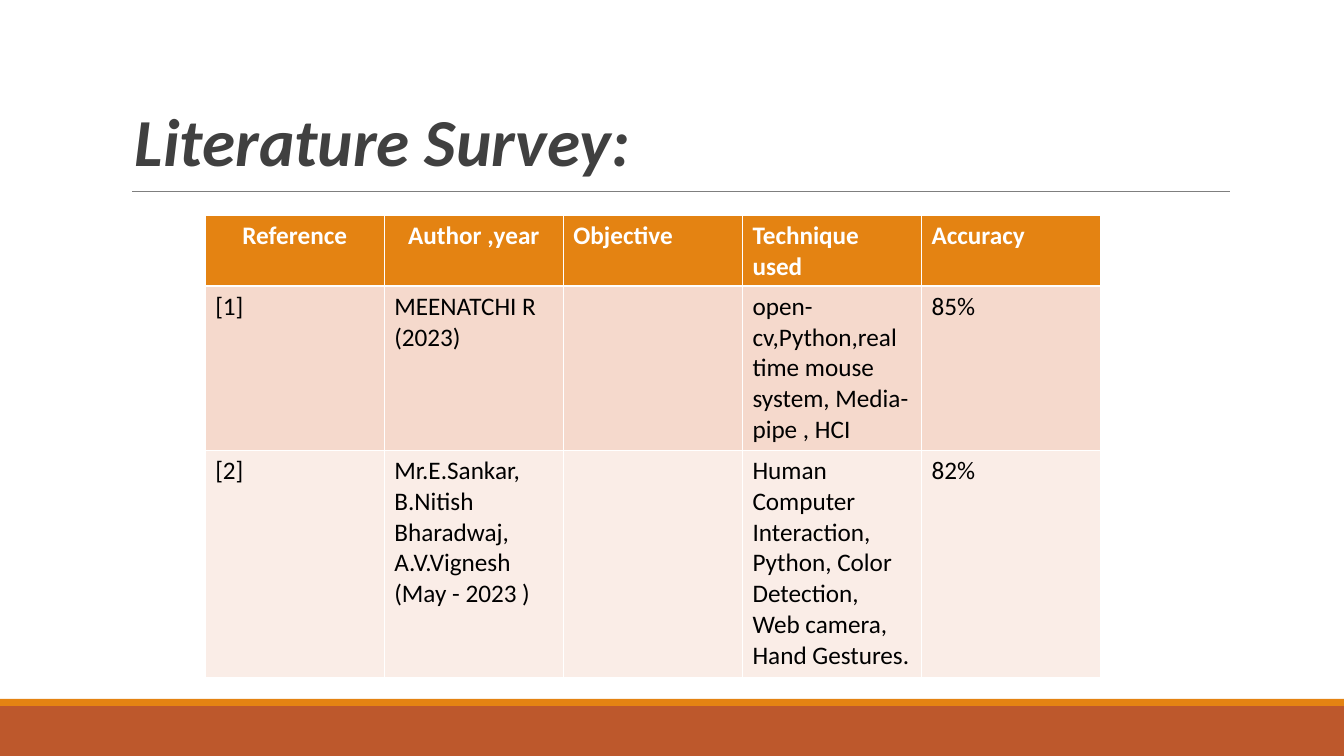
from lxml import etree
from pptx import Presentation
from pptx.dml.color import RGBColor
from pptx.enum.shapes import MSO_CONNECTOR, MSO_SHAPE
from pptx.enum.text import MSO_ANCHOR, PP_ALIGN
from pptx.oxml.ns import qn
from pptx.util import Pt

RECTANGLE = MSO_SHAPE.RECTANGLE
STRAIGHT = MSO_CONNECTOR.STRAIGHT
BOTTOM = MSO_ANCHOR.BOTTOM
LEFT, CENTER = PP_ALIGN.LEFT, PP_ALIGN.CENTER

EMU_PER_PX = 9080
SLIDE_WIDTH, SLIDE_HEIGHT = 1343, 755

HEADINGS = ["Reference", "Author ,year", "Objective", "Technique used", "Accuracy"]
SURVEY = [
    ["[1]", "MEENATCHI R\n(2023)", "",
     "open-cv,Python,real time mouse system, Media-pipe , HCI", "85%"],
    ["[2]", "Mr.E.Sankar, B.Nitish Bharadwaj, A.V.Vignesh\n(May - 2023 )", "",
     "Human Computer Interaction, Python, Color Detection, Web camera, Hand Gestures.",
     "82%"],
]
ROW_HEIGHTS = [71, 164, 226]
ROW_FILLS = ["E48312", "F5D9CC", "FAEDE7"]
COLUMN_WIDTH = 179
CENTERED_HEADINGS = 2
THIN, THICK = 0.45, 1.47


def px(length):
    return length * EMU_PER_PX


def color(value):
    return RGBColor.from_string(value)


class SlideBuilder:
    """Draws styled elements on the current slide."""

    def __init__(self, slide, font):
        self.slide = slide
        self.font = font

    def add_text(self, paragraph, text, size, ink, bold=False, italic=False):
        run = paragraph.add_run()
        run.text = text
        run.font.name = self.font
        run.font.size = Pt(size)
        run.font.bold = bold
        run.font.italic = italic
        run.font.color.rgb = color(ink)

    def band(self, top, height, fill):
        band = self.slide.shapes.add_shape(
            RECTANGLE, 0, px(top), px(SLIDE_WIDTH), px(height))
        band.shadow.inherit = False
        band.fill.solid()
        band.fill.fore_color.rgb = color(fill)
        band.line.fill.background()

    def rule(self, left, right, y, ink, weight):
        rule = self.slide.shapes.add_connector(
            STRAIGHT, px(left), px(y), px(right), px(y))
        rule.line.color.rgb = color(ink)
        rule.line.width = Pt(weight)
        etree.SubElement(rule._element.spPr, qn("a:effectLst"))

    def title(self, text, left, top, width, height):
        box = self.slide.shapes.add_textbox(px(left), px(top), px(width), px(height))
        frame = box.text_frame
        frame.word_wrap = True
        frame.vertical_anchor = BOTTOM
        paragraph = frame.paragraphs[0]
        paragraph.line_spacing = 0.85
        self.add_text(paragraph, text, 48, "404040", bold=True, italic=True)

    def border(self, cell, side, weight):
        edge = etree.SubElement(
            cell._tc.get_or_add_tcPr(), qn(f"a:ln{side}"), w=str(Pt(weight)))
        fill = etree.SubElement(edge, qn("a:solidFill"))
        etree.SubElement(fill, qn("a:srgbClr"), val="FFFFFF")

    def cell(self, cell, text, row, column):
        header = row == 0
        weights = {"L": THIN, "R": THIN,
                   "T": THICK if row == 1 else THIN,
                   "B": THICK if header else THIN}
        for side, weight in weights.items():
            self.border(cell, side, weight)
        cell.fill.solid()
        cell.fill.fore_color.rgb = color(ROW_FILLS[row])
        frame = cell.text_frame
        for index, line in enumerate(text.split("\n")):
            paragraph = frame.add_paragraph() if index else frame.paragraphs[0]
            paragraph.alignment = CENTER if header and column < CENTERED_HEADINGS else LEFT
            if line:
                self.add_text(paragraph, line, 18, "FFFFFF" if header else "000000", bold=header)

    def table(self, rows, left, top):
        table = self.slide.shapes.add_table(
            len(rows), len(HEADINGS), px(left), px(top),
            px(COLUMN_WIDTH * len(HEADINGS)), px(sum(ROW_HEIGHTS))).table
        for column in table.columns:
            column.width = px(COLUMN_WIDTH)
        for row, (texts, height) in enumerate(zip(rows, ROW_HEIGHTS)):
            table.rows[row].height = px(height)
            for column, text in enumerate(texts):
                self.cell(table.cell(row, column), text, row, column)


def main():
    deck = Presentation()
    deck.slide_width = px(SLIDE_WIDTH)
    deck.slide_height = px(SLIDE_HEIGHT)
    survey = SlideBuilder(deck.slides.add_slide(deck.slide_layouts[6]), "Calibri")
    survey.band(705, 50, "BD582C")
    survey.band(698, 7, "E48312")
    survey.rule(132, 1229, 191, "7F7F7F", 0.5)
    survey.title("Literature Survey:", 125, -22, 1103, 207)
    survey.table([HEADINGS, *SURVEY], 205, 215)
    deck.save("out.pptx")


if __name__ == "__main__":
    main()
